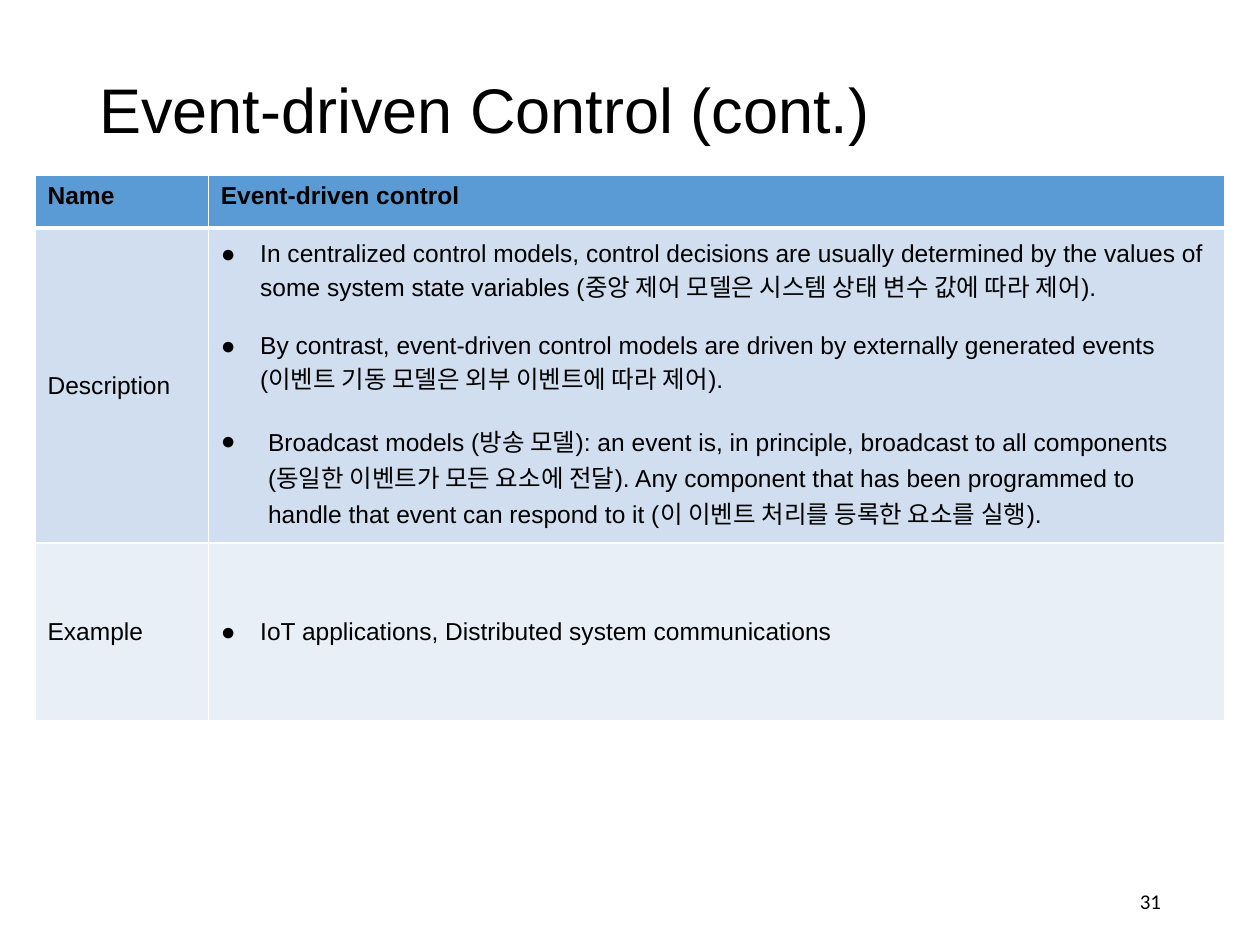
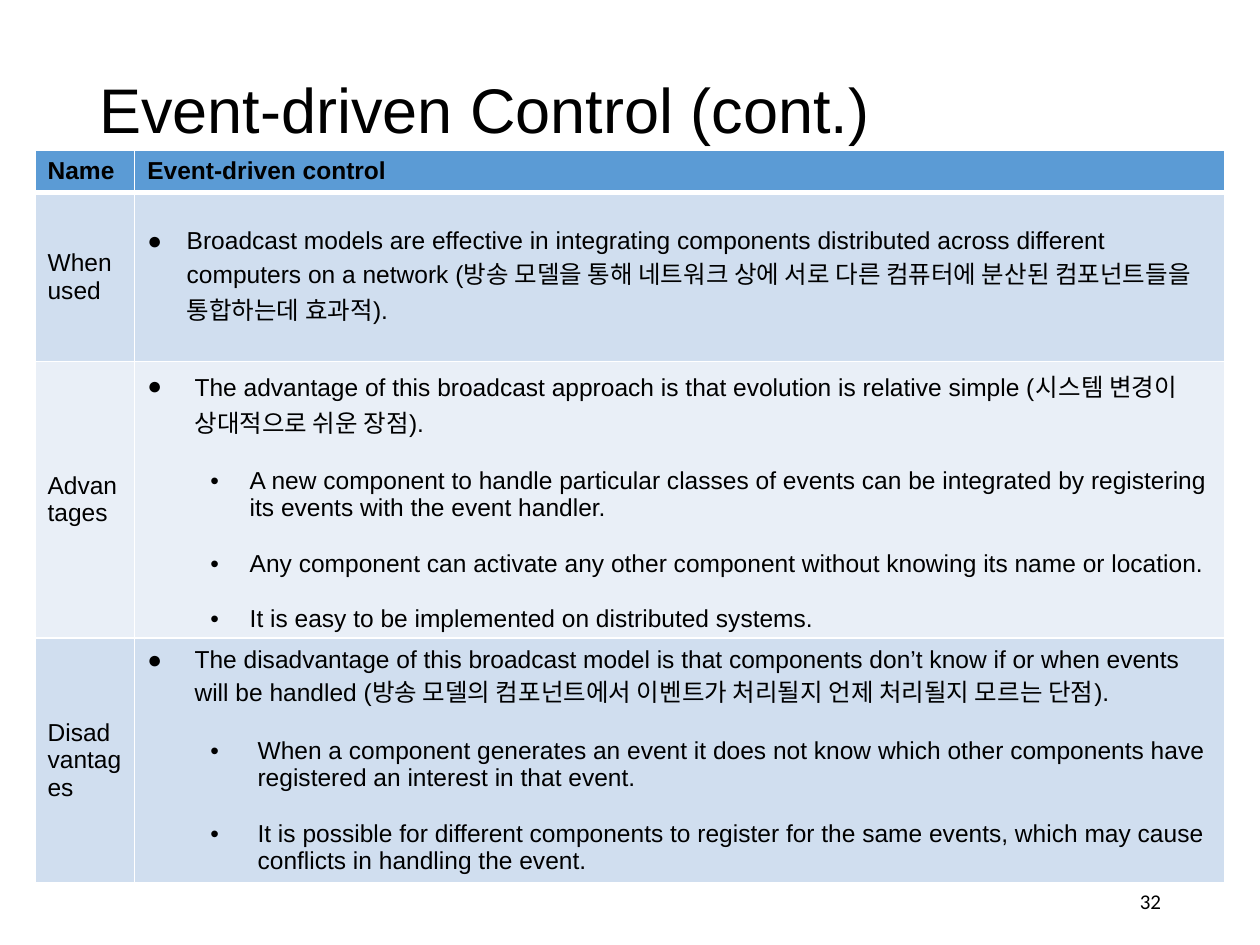
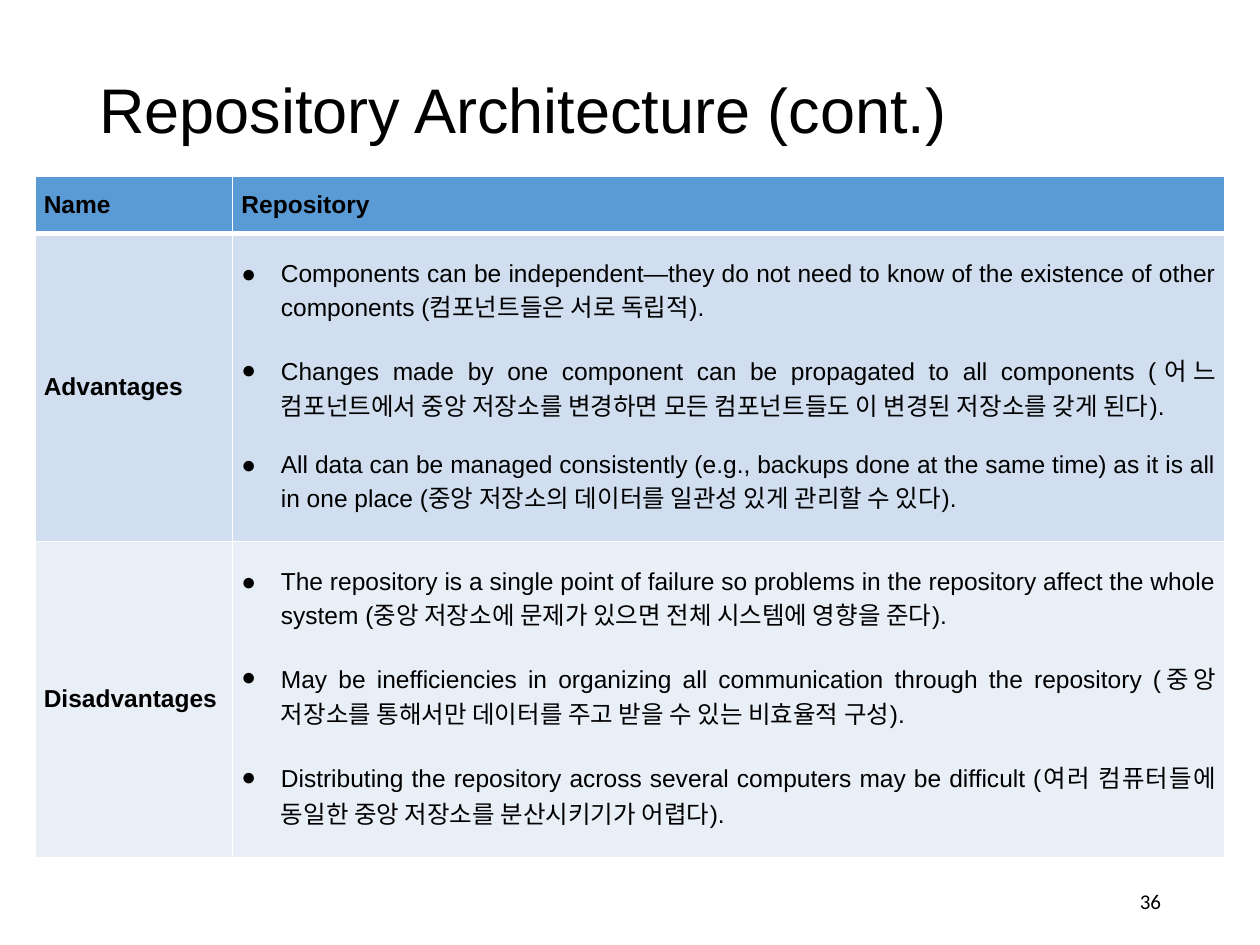
from pptx import Presentation
from pptx.dml.color import RGBColor
from pptx.enum.text import MSO_ANCHOR as Anchor, MSO_AUTO_SIZE as AutoSize, PP_ALIGN as Align
from pptx.oxml import parse_xml
from pptx.oxml.ns import nsdecls
from pptx.util import Pt

BLACK = RGBColor(0x00, 0x00, 0x00)
WHITE = RGBColor(0xFF, 0xFF, 0xFF)
HEADER = RGBColor(0x5B, 0x9B, 0xD5)
BANDS = [RGBColor(0xD0, 0xDE, 0xEF), RGBColor(0xE9, 0xEF, 0xF7)]
TITLE_FONT = BODY_FONT = "Arial"
NUMBER_FONT = "Calibri"
TABLE_LEFT, TABLE_WIDTH = 20, 680
NARROW, WIDE = 22.5, 27
LEVEL_INDENT, ITEM_GAP = 36, 16
MARKS = ["●", "•"]

DESCRIPTION = [
    ("In centralized control models, control decisions are usually determined by the values of "
     "some system state variables (중앙 제어 모델은 시스템 상태 변수 값에 따라 제어).", 0, NARROW),
    ("By contrast, event-driven control models are driven by externally generated events "
     "(이벤트 기동 모델은 외부 이벤트에 따라 제어).", 0, NARROW),
    ("Broadcast models (방송 모델): an event is, in principle, broadcast to all components "
     "(동일한 이벤트가 모든 요소에 전달). Any component that has been programmed to handle that "
     "event can respond to it (이 이벤트 처리를 등록한 요소를 실행).", 0, WIDE),
]
EXAMPLE = [("IoT applications, Distributed system communications", 0, NARROW)]
WHEN_USED = [
    ("Broadcast models are effective in integrating components distributed across different "
     "computers on a network (방송 모델을 통해 네트워크 상에 서로 다른 컴퓨터에 분산된 "
     "컴포넌트들을 통합하는데 효과적).", 0, NARROW),
]
EVENT_PROS = [
    ("The advantage of this broadcast approach is that evolution is relative simple "
     "(시스템 변경이 상대적으로 쉬운 장점).", 0, WIDE),
    ("A new component to handle particular classes of events can be integrated by registering "
     "its events with the event handler.", 1, NARROW),
    ("Any component can activate any other component without knowing its name or location.",
     1, NARROW),
    ("It is easy to be implemented on distributed systems.", 1, NARROW),
]
EVENT_CONS = [
    ("The disadvantage of this broadcast model is that components don’t know if or when events "
     "will be handled (방송 모델의 컴포넌트에서 이벤트가 처리될지 언제 처리될지 모르는 단점).",
     0, WIDE),
    ("When a component generates an event it does not know which other components have "
     "registered an interest in that event.", 1, WIDE),
    ("It is possible for different components to register for the same events, which may cause "
     "conflicts in handling the event.", 1, WIDE),
]
REPOSITORY_PROS = [
    ("Components can be independent—they do not need to know of the existence of other "
     "components (컴포넌트들은 서로 독립적).", 0, NARROW),
    ("Changes made by one component can be propagated to all components (어느 컴포넌트에서 "
     "중앙 저장소를 변경하면 모든 컴포넌트들도 이 변경된 저장소를 갖게 된다).", 0, NARROW),
    ("All data can be managed consistently (e.g., backups done at the same time) as it is all "
     "in one place (중앙 저장소의 데이터를 일관성 있게 관리할 수 있다).", 0, NARROW),
]
REPOSITORY_CONS = [
    ("The repository is a single point of failure so problems in the repository affect the "
     "whole system (중앙 저장소에 문제가 있으면 전체 시스템에 영향을 준다).", 0, NARROW),
    ("May be inefficiencies in organizing all communication through the repository (중앙 "
     "저장소를 통해서만 데이터를 주고 받을 수 있는 비효율적 구성).", 0, NARROW),
    ("Distributing the repository across several computers may be difficult (여러 컴퓨터들에 "
     "동일한 중앙 저장소를 분산시키기가 어렵다).", 0, NARROW),
]


def add_run(p, text, size, font, bold=False):
    """Add one black run to a paragraph."""
    r = p.add_run()
    r.text = text
    r.font.size, r.font.name, r.font.bold = Pt(size), font, bold
    r.font.color.rgb = BLACK


def add_slide(prs, title, number):
    """Add a slide with its title and page number."""
    s = prs.slides.add_slide(prs.slide_layouts[5])
    sp = s.shapes.title
    sp.left, sp.top, sp.width, sp.height = Pt(49.5), Pt(28.8), Pt(621), Pt(71.3)
    tf = sp.text_frame
    tf.vertical_anchor, tf.auto_size, tf.word_wrap = Anchor.MIDDLE, AutoSize.NONE, True
    p = tf.paragraphs[0]
    p.alignment, p.line_spacing = Align.LEFT, 0.9
    add_run(p, title, 36, TITLE_FONT)
    tf = s.shapes.add_textbox(Pt(508.5), Pt(500.5), Pt(162), Pt(28.75)).text_frame
    tf.vertical_anchor, tf.word_wrap = Anchor.MIDDLE, True
    p = tf.paragraphs[0]
    p.alignment = Align.RIGHT
    add_run(p, str(number), 12, NUMBER_FONT)
    return s


def set_borders(cell, top, bottom):
    """Draw white cell borders with the given top and bottom widths."""
    tc_pr = cell._tc.get_or_add_tcPr()
    for i, (side, width) in enumerate([("L", 1), ("R", 1), ("T", top), ("B", bottom)]):
        tc_pr.insert(i, parse_xml(
            f'<a:ln{side} {nsdecls("a")} w="{Pt(width)}"><a:solidFill>'
            f'<a:srgbClr val="{WHITE}"/></a:solidFill></a:ln{side}>'))


def set_bullet(p, level, hang):
    """Give a paragraph the bullet and hanging indent of its level."""
    p.level = level
    p_pr = p._p.get_or_add_pPr()
    p_pr.set("marL", str(Pt(LEVEL_INDENT * level + hang)))
    p_pr.set("indent", str(-Pt(hang)))
    for xml in (f'<a:buClr {nsdecls("a")}><a:srgbClr val="{BLACK}"/></a:buClr>',
                f'<a:buFont {nsdecls("a")} typeface="{BODY_FONT}"/>',
                f'<a:buChar {nsdecls("a")} char="{MARKS[level]}"/>'):
        p_pr.append(parse_xml(xml))


def fill_cell(cell, content, bold, align):
    """Write a label or a list of bullet items into a cell."""
    tf = cell.text_frame
    if isinstance(content, str):
        tf.paragraphs[0].alignment = align
        add_run(tf.paragraphs[0], content, 14, BODY_FONT, bold)
        return
    for i, (text, level, hang) in enumerate(content):
        p = tf.add_paragraph() if i else tf.paragraphs[0]
        p.alignment = align
        p.space_before = Pt(ITEM_GAP if i else 0)
        set_bullet(p, level, hang)
        add_run(p, text, 14, BODY_FONT)


def add_grid(s, top, label_width, heights, rows, header_anchor=Anchor.TOP,
             margins=(7.2, 3.6), bold_labels=False, align=Align.LEFT):
    """Add a two-column table with a header row and banded body rows."""
    table = s.shapes.add_table(len(rows), 2, Pt(TABLE_LEFT), Pt(top), Pt(TABLE_WIDTH),
                               Pt(sum(heights))).table
    table.horz_banding = False
    for column, width in zip(table.columns, (label_width, TABLE_WIDTH - label_width)):
        column.width = Pt(width)
    for i, (height, contents) in enumerate(zip(heights, rows)):
        table.rows[i].height = Pt(height)
        for cell, content in zip(table.rows[i].cells, contents):
            cell.fill.solid()
            cell.fill.fore_color.rgb = BANDS[(i - 1) % 2] if i else HEADER
            cell.vertical_anchor = Anchor.MIDDLE if i else header_anchor
            cell.margin_left = cell.margin_right = Pt(margins[0])
            cell.margin_top = cell.margin_bottom = Pt(margins[1])
            set_borders(cell, 3 if i == 1 else 1, 1 if i else 3)
            fill_cell(cell, content, bold_labels or i == 0, align)


def main():
    """Build the three slides and save them."""
    prs = Presentation()
    prs.slide_width, prs.slide_height = Pt(720), Pt(540)
    event_header = ("Name", "Event-driven control")

    s = add_slide(prs, "Event-driven Control (cont.)", 31)
    add_grid(s, 100.3, 99, [30, 180, 101.5],
             [event_header, ("Description", DESCRIPTION), ("Example", EXAMPLE)])

    s = add_slide(prs, "Event-driven Control (cont.)", 32)
    add_grid(s, 86, 57, [22.5, 96.5, 158, 137.5],
             [event_header, ("When used", WHEN_USED), ("Advantages", EVENT_PROS),
              ("Disadvantages", EVENT_CONS)])

    s = add_slide(prs, "Repository Architecture (cont.)", 36)
    add_grid(s, 101, 113, [32.4, 176, 180.5],
             [("Name", "Repository"), ("Advantages", REPOSITORY_PROS),
              ("Disadvantages", REPOSITORY_CONS)],
             Anchor.MIDDLE, (5, 0), True, Align.JUSTIFY)
    prs.save("out.pptx")


main()
